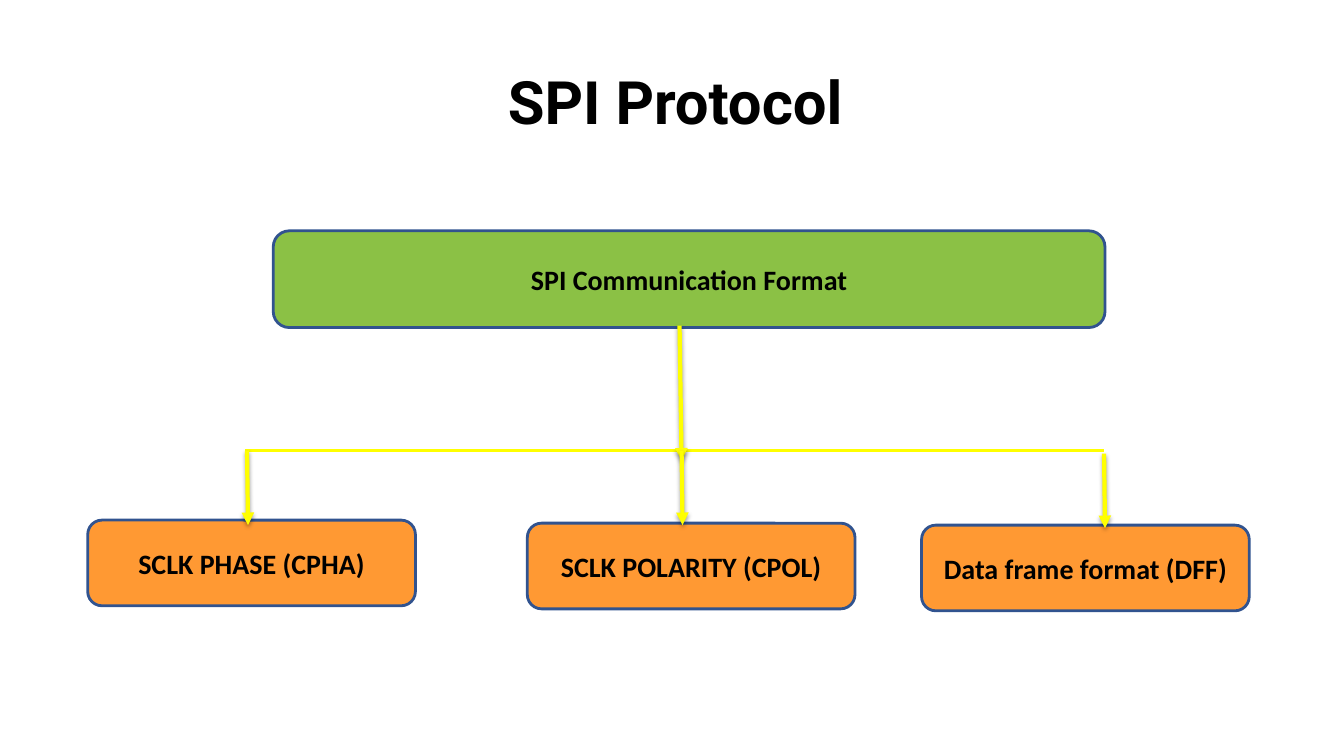
from lxml import etree
from pptx import Presentation
from pptx.dml.color import RGBColor
from pptx.enum import shapes, text
from pptx.oxml import ns
from pptx.util import Inches, Pt

# Content
TITLE = "SPI Protocol"
ROOT = "SPI Communication Format"
BRANCHES = [  # label, box left, box top, arrow start x, arrow start y
    ("SCLK PHASE (CPHA)", 0.87, 5.16, 2.45, 4.47),
    ("SCLK POLARITY (CPOL)", 5.23, 5.19, 6.76, 4.47),
    ("Data frame format (DFF)", 9.14, 5.21, 10.95, 4.5),
]

# Style
BLACK = RGBColor(0x00, 0x00, 0x00)
GREEN = RGBColor(0x8B, 0xC1, 0x45)
ORANGE = RGBColor(0xFF, 0x99, 0x33)
NAVY = RGBColor(0x31, 0x53, 0x8F)
YELLOW = RGBColor(0xFF, 0xFF, 0x00)
BRANCH_W, BRANCH_H = 3.25, 0.85
BUS_Y = 4.47
DROP_X, DROP_Y = 0.01, 0.74

prs = Presentation()
prs.slide_width, prs.slide_height = Inches(13.33), Inches(7.5)
s = prs.slides.add_slide(prs.slide_layouts[6])


def write(sp, words, font, size, pad_x, pad_y):
    tf = sp.text_frame
    tf.word_wrap = True
    tf.vertical_anchor = text.MSO_ANCHOR.MIDDLE
    tf.margin_left = tf.margin_right = Inches(pad_x)
    tf.margin_top = tf.margin_bottom = Inches(pad_y)
    p = tf.paragraphs[0]
    p.text = words
    p.alignment = text.PP_ALIGN.CENTER
    p.font.name, p.font.size, p.font.bold = font, Pt(size), True
    p.font.color.rgb = BLACK
    return p


def add_box(words, x, y, w, h, fill):
    sp = s.shapes.add_shape(shapes.MSO_SHAPE.ROUNDED_RECTANGLE,
                            Inches(x), Inches(y), Inches(w), Inches(h))
    sp.shadow.inherit = False
    sp.fill.solid()
    sp.fill.fore_color.rgb = fill
    sp.line.color.rgb, sp.line.width = NAVY, Pt(2)
    write(sp, words, "Calibri", 20, 0.13, 0.07)


def add_line(x1, y1, x2, y2, width, arrow=True):
    line = s.shapes.add_connector(shapes.MSO_CONNECTOR.STRAIGHT,
                                  Inches(x1), Inches(y1), Inches(x2), Inches(y2))
    line.line.color.rgb, line.line.width = YELLOW, Pt(width)
    sp_pr = line._element.spPr
    effects = etree.SubElement(sp_pr, ns.qn("a:effectLst"))
    if arrow:
        etree.SubElement(sp_pr.find(ns.qn("a:ln")), ns.qn("a:tailEnd"), type="triangle")
        shadow = etree.SubElement(effects, ns.qn("a:outerShdw"), blurRad=str(Pt(3.1)),
                                  dist=str(Pt(1.6)), dir="5400000", rotWithShape="0")
        color = etree.SubElement(shadow, ns.qn("a:srgbClr"), val="000000")
        etree.SubElement(color, ns.qn("a:alpha"), val="38000")


# Title
title = s.shapes.add_textbox(Inches(0.95), Inches(0.61), Inches(11.5), Inches(0.87))
write(title, TITLE, "Roboto", 42.7, 0.1, 0.05).line_spacing = 0.9

# Boxes
add_box(ROOT, 2.71, 2.29, 8.25, 0.96, GREEN)
for label, left, top, _, _ in BRANCHES:
    add_box(label, left, top, BRANCH_W, BRANCH_H, ORANGE)

# Horizontal bus, trunk and branch arrows
add_line(2.43, BUS_Y, 10.95, BUS_Y, 2.25, arrow=False)
add_line(6.74, 3.23, 6.76, 4.57, 3)
for _, _, _, x, y in BRANCHES:
    add_line(x, y, x + DROP_X, y + DROP_Y, 3)

prs.save("out.pptx")
